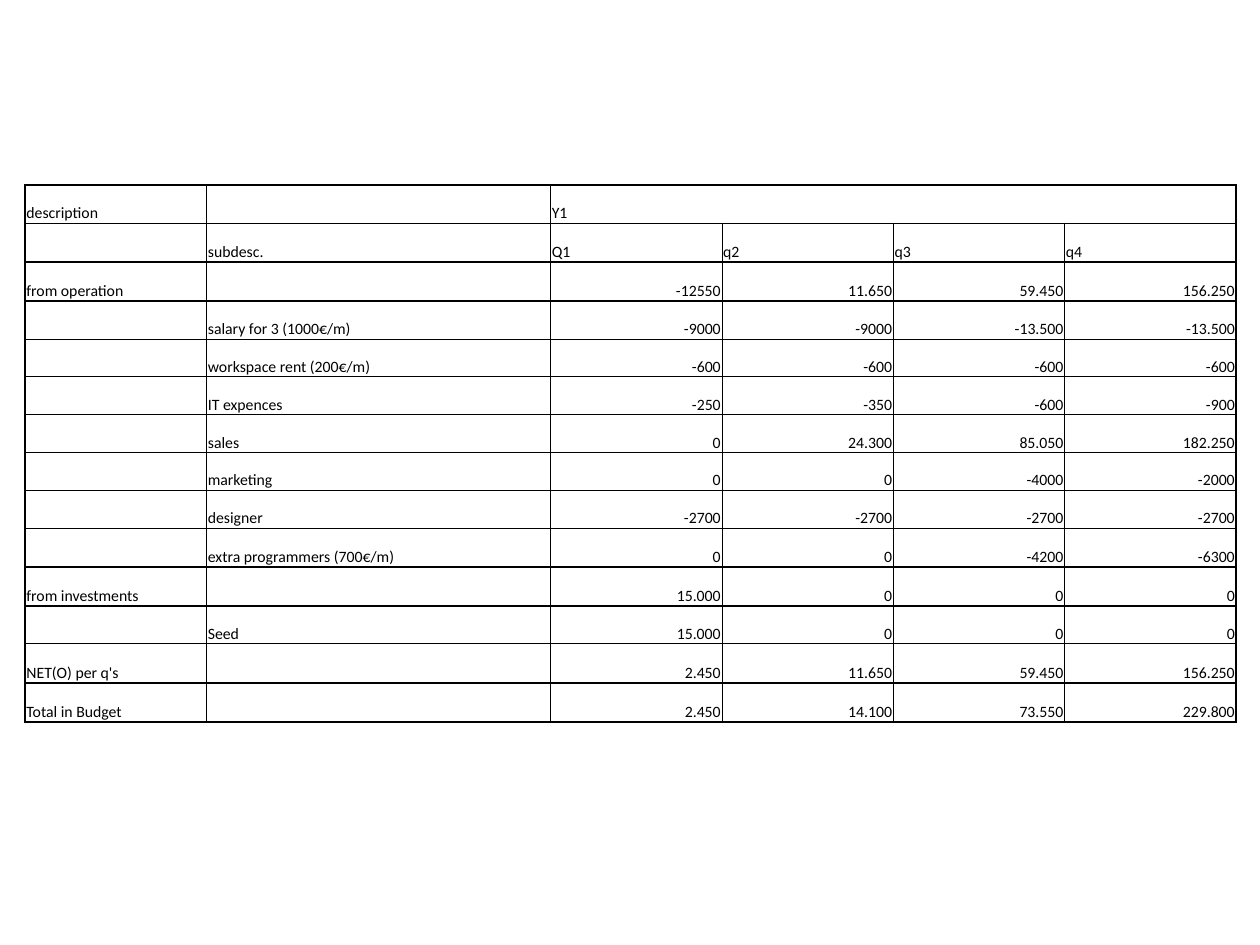
from dataclasses import dataclass

from lxml.etree import SubElement
from pptx import Presentation
from pptx.dml.color import RGBColor
from pptx.enum.text import MSO_ANCHOR, PP_ALIGN
from pptx.oxml.ns import qn
from pptx.table import Table, _Cell
from pptx.util import Inches, Pt


@dataclass(frozen=True)
class Theme:
    """Colours, type and line weights of the slide."""
    ink: str = "000000"
    font: str = "Calibri"
    size: float = 9
    thin: float = 0.5
    thick: float = 1


@dataclass(frozen=True)
class BudgetRow:
    """One line of the budget: two labels and four quarters."""
    description: str
    detail: str
    quarters: tuple[str, ...]
    height: float = 0.3

    @property
    def texts(self) -> tuple[str, ...]:
        """Return the cell texts from left to right."""
        return (self.description, self.detail, *self.quarters)


THEME = Theme()
TALL = 0.31
HEADER_ROWS = 2
LABEL_COLUMNS = 2
COLUMN_WIDTHS = (1.44, 2.73) + (1.36,) * 4
THICK_COLUMN_EDGES = {0, 2, 6}
THICK_ROW_EDGES = {0, 2, 3, 10, 11, 13, 14}

ROWS = (
    BudgetRow("description", "", ("Y1", "", "", "")),
    BudgetRow("", "subdesc.", ("Q1", "q2", "q3", "q4"), TALL),
    BudgetRow("from operation", "", ("-12550", "11.650", "59.450", "156.250"), TALL),
    BudgetRow("", "salary for 3 (1000€/m)", ("-9000", "-9000", "-13.500", "-13.500")),
    BudgetRow("", "workspace rent (200€/m)", ("-600", "-600", "-600", "-600")),
    BudgetRow("", "IT expences", ("-250", "-350", "-600", "-900")),
    BudgetRow("", "sales", ("0", "24.300", "85.050", "182.250")),
    BudgetRow("", "marketing", ("0", "0", "-4000", "-2000")),
    BudgetRow("", "designer", ("-2700", "-2700", "-2700", "-2700")),
    BudgetRow("", "extra programmers (700€/m)", ("0", "0", "-4200", "-6300"), TALL),
    BudgetRow("from investments", "", ("15.000", "0", "0", "0"), TALL),
    BudgetRow("", "Seed", ("15.000", "0", "0", "0")),
    BudgetRow("NET(O) per q's", "", ("2.450", "11.650", "59.450", "156.250"), TALL),
    BudgetRow("Total in Budget", "", ("2.450", "14.100", "73.550", "229.800"), TALL),
)


def edge_weight(edge: int, thick_edges: set[int]) -> float:
    """Return the line weight of a grid edge."""
    return THEME.thick if edge in thick_edges else THEME.thin


def column_edge_weight(row: int, edge: int) -> float:
    """Return the weight of a vertical edge; the year heading has none inside."""
    if row == 0 and LABEL_COLUMNS < edge < len(COLUMN_WIDTHS):
        return 0
    return edge_weight(edge, THICK_COLUMN_EDGES)


def draw_borders(cell: _Cell, row: int, column: int) -> None:
    """Draw the four borders of a cell."""
    weights = {
        "a:lnL": column_edge_weight(row, column),
        "a:lnR": column_edge_weight(row, column + 1),
        "a:lnT": edge_weight(row, THICK_ROW_EDGES),
        "a:lnB": edge_weight(row + 1, THICK_ROW_EDGES),
    }
    properties = cell._tc.get_or_add_tcPr()
    for tag, weight in weights.items():
        line = SubElement(properties, qn(tag), w=str(int(Pt(weight))))
        if weight:
            fill = SubElement(line, qn("a:solidFill"))
            SubElement(fill, qn("a:srgbClr"), val=THEME.ink)
        else:
            SubElement(line, qn("a:noFill"))


def write_text(cell: _Cell, text: str, align: PP_ALIGN) -> None:
    """Write a cell's text at the bottom of the cell."""
    cell.vertical_anchor = MSO_ANCHOR.BOTTOM
    cell.margin_left = cell.margin_right = cell.margin_top = Inches(0.01)
    cell.margin_bottom = 0
    paragraph = cell.text_frame.paragraphs[0]
    paragraph.alignment = align
    paragraph.font.name = THEME.font
    paragraph.font.size = Pt(THEME.size)
    paragraph.font.color.rgb = RGBColor.from_string(THEME.ink)
    if text:
        paragraph.add_run().text = text
    else:
        SubElement(paragraph._p, qn("a:endParaRPr"), sz=str(int(THEME.size * 100)))


def fill_table(table: Table) -> None:
    """Size the grid and fill in every cell."""
    table.first_row = table.horz_banding = False
    for column, width in enumerate(COLUMN_WIDTHS):
        table.columns[column].width = Inches(width)
    for row, budget_row in enumerate(ROWS):
        table.rows[row].height = Inches(budget_row.height)
        for column, text in enumerate(budget_row.texts):
            cell = table.cell(row, column)
            is_number = row >= HEADER_ROWS and column >= LABEL_COLUMNS
            write_text(cell, text, PP_ALIGN.RIGHT if is_number else PP_ALIGN.LEFT)
            draw_borders(cell, row, column)
            cell.fill.background()


def main() -> None:
    """Build the budget slide."""
    presentation = Presentation()
    presentation.slide_width = Inches(10)
    presentation.slide_height = Inches(7.5)
    slide = presentation.slides.add_slide(presentation.slide_layouts[6])
    frame = slide.shapes.add_table(
        len(ROWS), len(COLUMN_WIDTHS),
        Inches(0.2), Inches(1.47), Inches(9.61), Inches(4.25),
    )
    fill_table(frame.table)
    presentation.save("out.pptx")


main()
